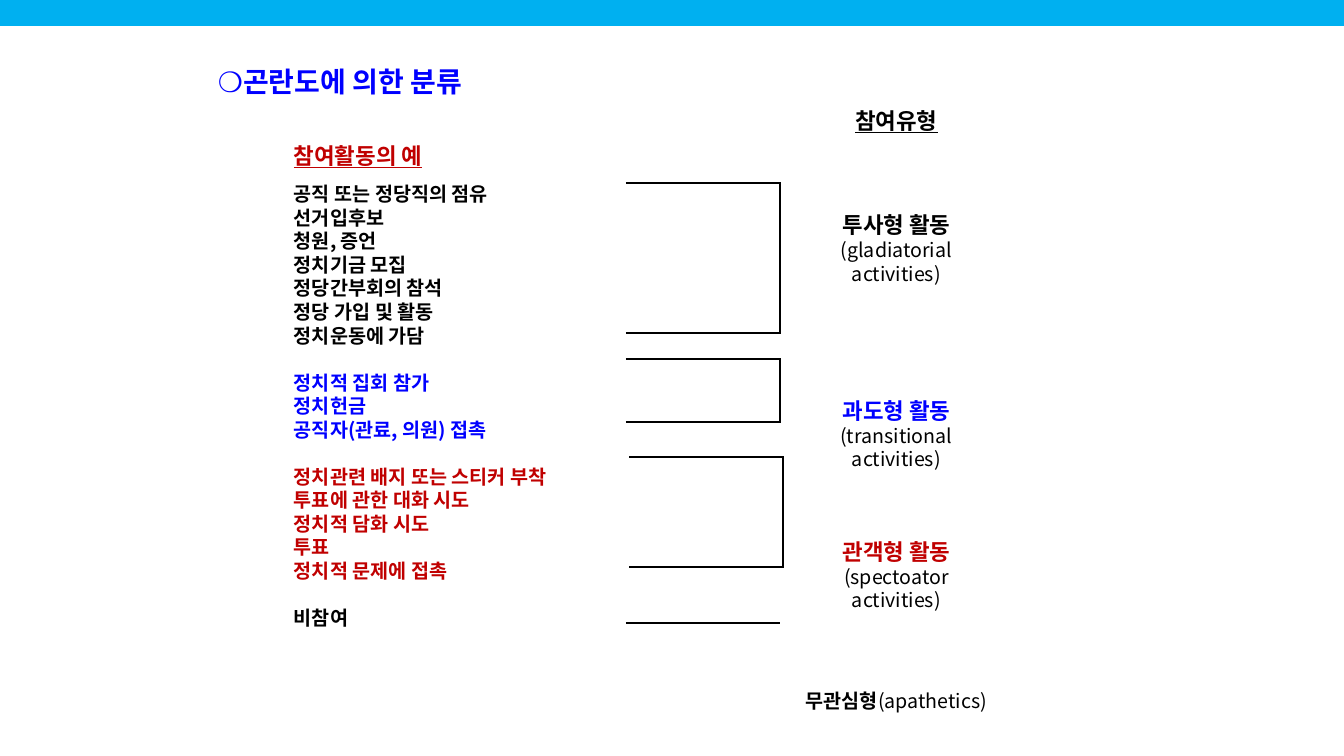
import pptx
import pptx.util
import pptx.dml.color
import pptx.enum.shapes
import pptx.enum.text
import pptx.oxml.ns
import lxml.etree

PX = 914400 / 100.8
FONT = "Noto Sans CJK KR"
BLACK = pptx.dml.color.RGBColor(0x00, 0x00, 0x00)
BLUE = pptx.dml.color.RGBColor(0x00, 0x00, 0xFF)
RED = pptx.dml.color.RGBColor(0xC0, 0x00, 0x00)
SKY = pptx.dml.color.RGBColor(0x00, 0xB0, 0xF0)
LEFT = pptx.enum.text.PP_ALIGN.LEFT
CENTER = pptx.enum.text.PP_ALIGN.CENTER
qn = pptx.oxml.ns.qn


def px(*lengths):
    return [pptx.util.Emu(round(n * PX)) for n in lengths]


def add_text(box, lines, align=LEFT):
    """Each line is (space before in pt, size in pt, colour, runs);
    each run is (text, format values)."""
    sp = prs.slides[0].shapes.add_textbox(*px(*box))
    tf = sp.text_frame
    tf.word_wrap = True
    for i, (gap, size, color, runs) in enumerate(lines):
        p = tf.paragraphs[0] if i == 0 else tf.add_paragraph()
        p.alignment = align
        p.space_before = pptx.util.Pt(gap)
        p.line_spacing = pptx.util.Pt(size * 1.2)
        for text, values in runs:
            r = p.add_run()
            r.text = text
            base = {"name": FONT, "size": pptx.util.Pt(size), "bold": True}
            for key, value in (base | values).items():
                setattr(r.font, key, value)
            r.font.color.rgb = color
            ea = lxml.etree.SubElement(r.font._element, qn("a:ea"))
            ea.set("typeface", FONT)
    return tf


prs = pptx.Presentation()
prs.slide_width, prs.slide_height = px(1344, 756)
s = prs.slides.add_slide(prs.slide_layouts[6])

# Title
tf = add_text((188, 60, 970, 578), [(0, 20, BLUE, [("❍곤란도에 의한 분류", {})])])
tf.paragraphs[0]._p.get_or_add_pPr().set("marL", str(px(20)[0]))

# Examples of participation, in groups
groups = [
    (9.6, BLACK, ["공직 또는 정당직의 점유", "선거입후보", "청원, 증언", "정치기금 모집",
                  "정당간부회의 참석", "정당 가입 및 활동", "정치운동에 가담"]),
    (16.8, BLUE, ["정치적 집회 참가", "정치헌금", "공직자(관료, 의원) 접촉"]),
    (16.8, RED, ["정치관련 배지 또는 스티커 부착", "투표에 관한 대화 시도",
                 "정치적 담화 시도", "투표", "정치적 문제에 접촉"]),
    (16.8, BLACK, ["비참여"]),
]
lines = [(0, 16, RED, [("참여활동의 예", {"underline": True})])]
for gap, color, examples in groups:
    for i, example in enumerate(examples):
        lines.append((0 if i else gap, 14, color, [(example, {})]))
add_text((284, 137, 340, 509), lines)

# Types of participation
types = [
    (55.2, BLACK, "투사형 활동", "(gladiatorial activities)"),
    (79.8, BLUE, "과도형 활동", "(transitional activities)"),
    (48, RED, "관객형 활동", "(spectoator activities)"),
]
lines = [(0, 16, BLACK, [("참여유형", {"underline": True})])]
for gap, color, name, english in types:
    lines.append((gap, 16, color, [(name, {})]))
    lines.append((0, 14, BLACK, [(english, {"bold": False})]))
lines.append((55.2, 14, BLACK, [("무관심형", {}), ("(apathetics)", {"bold": False})]))
add_text((788, 102, 217, 578), lines, CENTER)

# Brackets: one-cell tables with some borders drawn
brackets = [(626, 183, 150, "RTB"), (626, 359, 63, "RTB"),
            (629, 457, 110, "RTB"), (626, 583, 40, "B")]
for x, y, height, sides in brackets:
    table = s.shapes.add_table(1, 1, *px(x, y, 154, height)).table
    table.first_row = table.horz_banding = False
    cell = table.cell(0, 0)
    for side in ("left", "right", "top", "bottom"):
        setattr(cell, "margin_" + side, 0)
    tcPr = cell._tc.get_or_add_tcPr()
    for side in "LRTB":
        ln = lxml.etree.SubElement(tcPr, qn("a:ln" + side), w="12700")
        if side in sides:
            fill = lxml.etree.SubElement(ln, qn("a:solidFill"))
            lxml.etree.SubElement(fill, qn("a:srgbClr"), val=str(BLACK))
        else:
            lxml.etree.SubElement(ln, qn("a:noFill"))
    cell.fill.background()

# Top band
sp = s.shapes.add_shape(pptx.enum.shapes.MSO_SHAPE.RECTANGLE, *px(0, 0, 1344, 26))
sp.shadow.inherit = False
sp.fill.solid()
sp.fill.fore_color.rgb = SKY
sp.line.fill.background()

prs.save("out.pptx")
